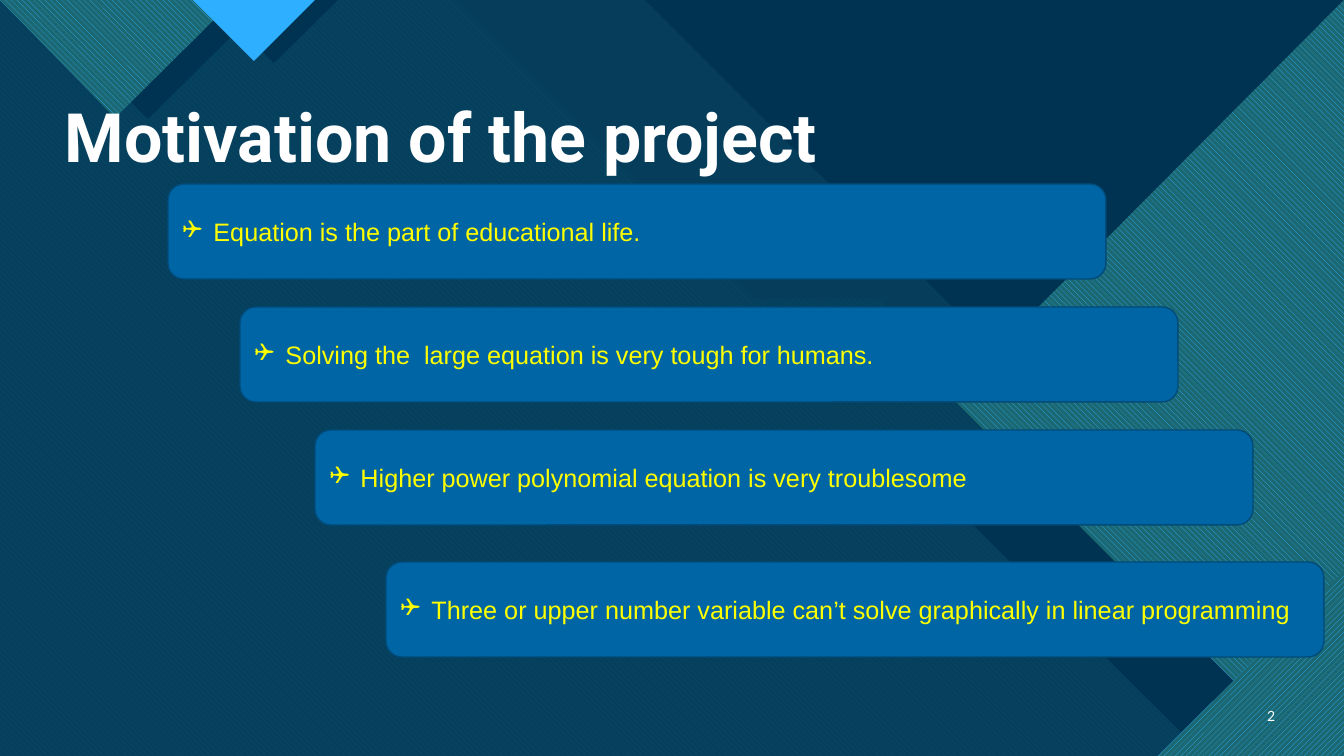
from lxml import etree
from pptx import Presentation
from pptx.dml.color import RGBColor
from pptx.enum.dml import MSO_PATTERN as PATTERN
from pptx.enum.shapes import MSO_SHAPE as SHAPE
from pptx.enum.text import MSO_ANCHOR as ANCHOR, PP_ALIGN as ALIGN
from pptx.oxml.ns import qn
from pptx.util import Pt

SLIDE_WIDTH, SLIDE_HEIGHT = 1344, 756
SCALE = 12192000 / SLIDE_WIDTH  # EMU in one px

COLORS = {
    "base": "0C4360", "navy": "003352", "aqua": "47C3D3", "teal": "1B6872",
    "sky": "2FAFFF", "card": "0065A4", "card_line": "004B79",
    "white": "FFFFFF", "yellow": "FFFF00",
}

DOWNWARD = PATTERN.WIDE_DOWNWARD_DIAGONAL
UPWARD = PATTERN.WIDE_UPWARD_DIAGONAL

# Left, top and wording of each reason
REASONS = [
    (168, 184, "Equation is the part of educational life."),
    (240, 307, "Solving the  large equation is very tough for humans."),
    (315, 430, "Higher power polynomial equation is very troublesome"),
    (386, 562, "Three or upper number variable can’t solve graphically in linear programming"),
]


def px(*lengths):
    return [round(length * SCALE) for length in lengths]


def color(name):
    return RGBColor.from_string(COLORS[name])


def add_polygon(page, points, fill, opacity=100, pattern=None, back="teal"):
    builder = page.shapes.build_freeform(*points[0], scale=SCALE)
    builder.add_line_segments(points[1:], close=True)
    polygon = builder.convert_to_shape()
    polygon.shadow.inherit = False
    polygon.line.fill.background()
    if pattern is not None:
        polygon.fill.patterned()
        polygon.fill.pattern = pattern
        polygon.fill.fore_color.rgb = color(fill)
        polygon.fill.back_color.rgb = color(back)
        return
    polygon.fill.solid()
    polygon.fill.fore_color.rgb = color(fill)
    if opacity < 100:
        tint = polygon.fill._xPr.find(".//" + qn("a:srgbClr"))
        etree.SubElement(tint, qn("a:alpha")).set("val", str(opacity * 1000))


def format_text(para, size, font, tone, bold=False):
    for span in para.runs:
        span.font.size = Pt(size)
        span.font.name = font
        span.font.bold = bold
        span.font.color.rgb = color(tone)


def add_label(page, place, text, size, font, anchor, align, bold=False):
    box = page.shapes.add_textbox(*px(*place))
    frame = box.text_frame
    frame.word_wrap = True
    frame.vertical_anchor = anchor
    frame.text = text
    para = frame.paragraphs[0]
    para.alignment = align
    para.line_spacing = 0.9
    format_text(para, size, font, "white", bold)


def add_bullet(para, mark, indent):
    props = para._p.get_or_add_pPr()
    props.set("marL", str(indent))
    props.set("indent", str(-indent))
    etree.SubElement(props, qn("a:buFont")).set("typeface", "Wingdings")
    etree.SubElement(props, qn("a:buChar")).set("char", mark)


def add_reason(page, left, top, text):
    card = page.shapes.add_shape(SHAPE.ROUNDED_RECTANGLE, *px(left, top, 938, 95))
    card.shadow.inherit = False
    card.fill.solid()
    card.fill.fore_color.rgb = color("card")
    card.line.color.rgb = color("card_line")
    card.line.width = Pt(1)
    frame = card.text_frame
    frame.word_wrap = True
    frame.vertical_anchor = ANCHOR.MIDDLE
    frame.text = text
    para = frame.paragraphs[0]
    para.alignment = ALIGN.LEFT
    add_bullet(para, "❑", px(31)[0])
    format_text(para, 18, "Arial", "yellow")


def add_backdrop(page):
    right, bottom = SLIDE_WIDTH, SLIDE_HEIGHT
    corners = [(right, bottom), (0, bottom)]
    # Layered field
    add_polygon(page, [(0, 0), (right, 0), *corners], "base")
    add_polygon(page, [(0, 0), (833, 0), (1132, 299), (1245, 299), (right, 399),
                       *corners], "aqua", opacity=74)
    add_polygon(page, [(0, 0), (453, 0), (752, 299), (879, 299), (1336, bottom),
                       (0, bottom)], "card", pattern=DOWNWARD, back="aqua")
    add_polygon(page, [(645, 0), (right, 0), (right, 698)], "navy")
    add_polygon(page, [(0, 0), (701, 0), (1000, 299), (1127, 299), (right, 517),
                       *corners], "navy", opacity=90)
    # Right-hand wedge and corner, each over its shade
    add_polygon(page, [(right, 69), (right, bottom), (1205, bottom), (930, 482)], "navy")
    add_polygon(page, [(right, 0), (right, bottom), (1309, bottom), (950, 396)],
                "sky", pattern=DOWNWARD)
    add_polygon(page, [(right, 619), (right, bottom), (1207, bottom)], "navy")
    add_polygon(page, [(right, 571), (right, bottom), (1158, bottom)],
                "sky", pattern=UPWARD)
    # Top triangles, each over its shade
    add_polygon(page, [(29, 0), (148, 119), (268, 0)], "navy")
    add_polygon(page, [(0, 0), (115, 118), (234, 0)], "sky", pattern=DOWNWARD)
    add_polygon(page, [(211, 0), (274, 63), (338, 0)], "navy")
    add_polygon(page, [(193, 0), (254, 61), (315, 0)], "sky")


def main():
    deck = Presentation()
    deck.slide_width, deck.slide_height = px(SLIDE_WIDTH, SLIDE_HEIGHT)
    page = deck.slides.add_slide(deck.slide_layouts[6])
    add_backdrop(page)
    # Title and page number
    add_label(page, (55, 87, 858, 95), "Motivation of the project", 48.6, "Roboto",
              ANCHOR.BOTTOM, ALIGN.LEFT, bold=True)
    add_label(page, (1241, 697, 44, 40), "2", 10, "Lato", ANCHOR.MIDDLE, ALIGN.RIGHT)
    # Stepped reasons
    for reason in REASONS:
        add_reason(page, *reason)
    deck.save("out.pptx")


if __name__ == "__main__":
    main()
